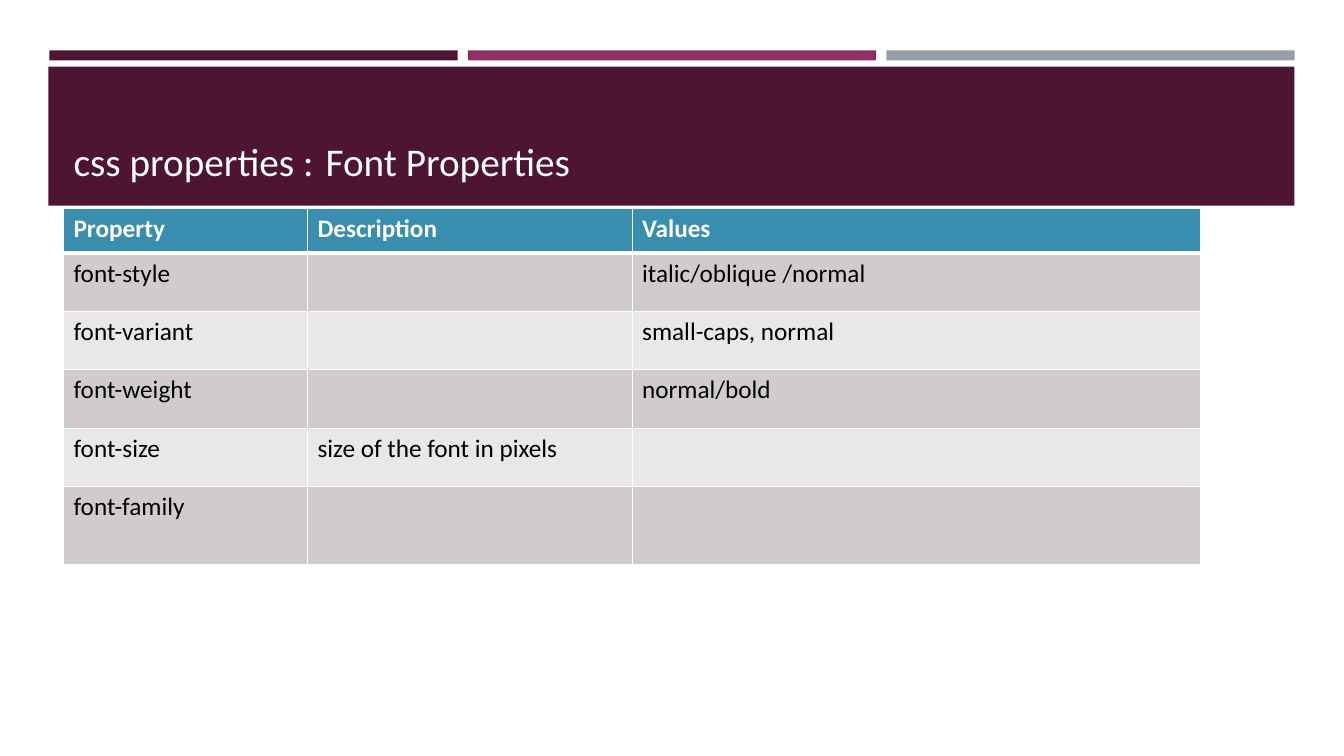
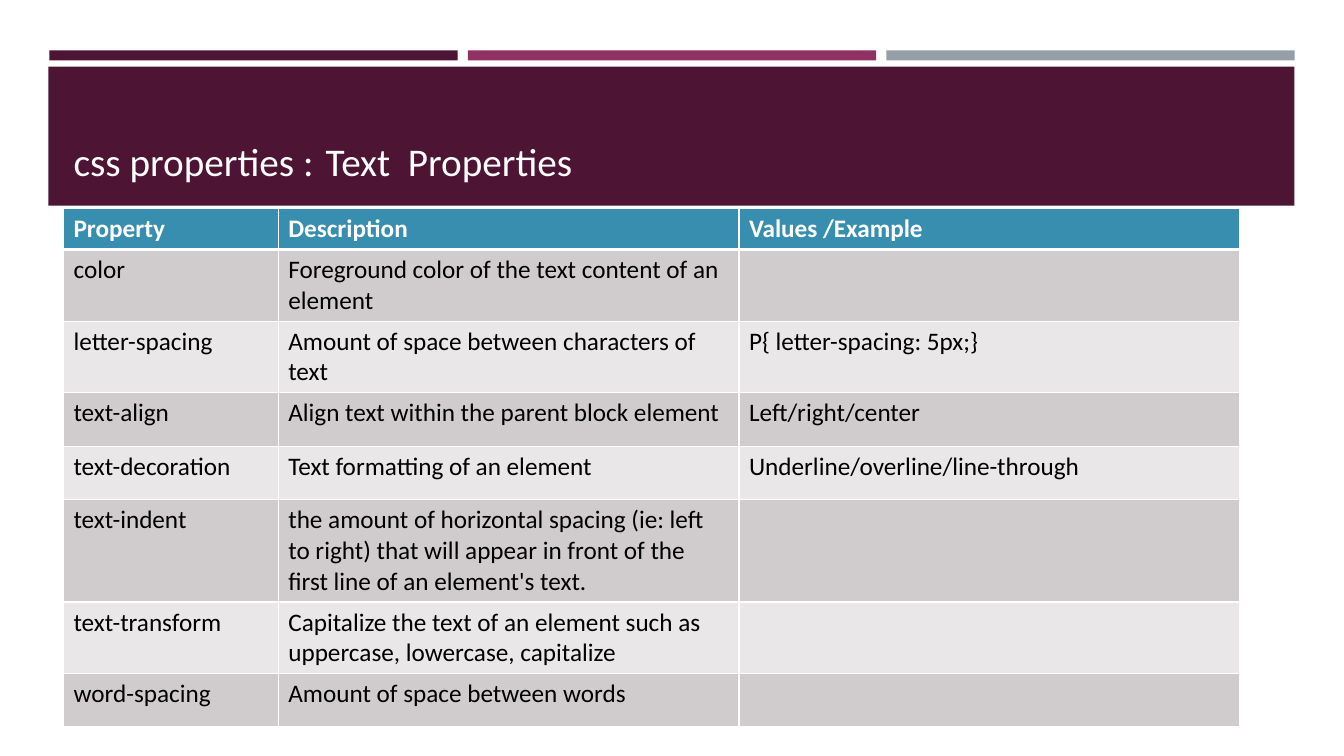
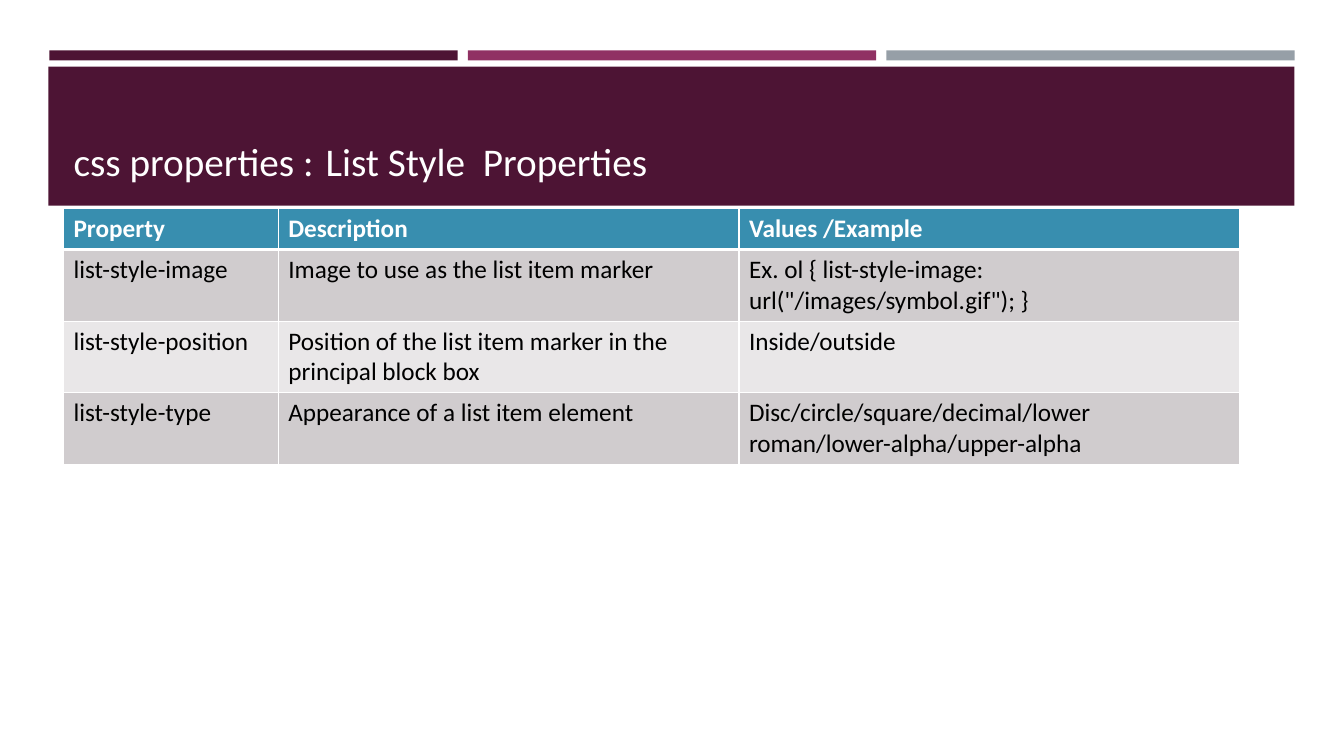
"""Build three slides that tabulate CSS font, text and list properties."""
from lxml import etree
from pptx import Presentation
from pptx.dml.color import RGBColor
from pptx.enum import shapes, text
from pptx.oxml import ns
from pptx.util import Inches, Pt

FONT = "Calibri"
PLUM, MAGENTA, GREY = "4D1434", "903163", "969FA7"
WHITE, BLACK, TEAL = "FFFFFF", "000000", "388EAF"
ROW_FILLS = ["E9E7E8", "D0CCCE"]
BANDS = [(0.49 + 4.15 * index, 0.5, 4.05, 0.1, color)
         for index, color in enumerate([PLUM, MAGENTA, GREY])]
BANDS.append((0.48, 0.66, 12.36, 1.38, PLUM))
WIDE_COLUMNS = [2.13, 4.57, 4.97]

SLIDES = [
    ("Font Properties", [2.42, 3.22, 5.64], [0.44] + [0.58] * 4 + [0.77], [
        ("Property", "Description", "Values"),
        ("font-style", "", "italic/oblique /normal"),
        ("font-variant", "", "small-caps, normal"),
        ("font-weight", "", "normal/bold"),
        ("font-size", "size of the font in pixels", ""),
        ("font-family", "", ""),
    ]),
    ("Text  Properties", WIDE_COLUMNS, [0.3] + [0.53] * 7, [
        ("Property", "Description", "Values /Example"),
        ("color", "Foreground color of the text content of an element", ""),
        ("letter-spacing", "Amount of space between characters of text",
         "P{ letter-spacing: 5px;}"),
        ("text-align", "Align text within the parent block element",
         "Left/right/center"),
        ("text-decoration", "Text formatting of an element",
         "Underline/overline/line-through"),
        ("text-indent", "the amount of horizontal spacing (ie: left to right) that "
         "will appear in front of the first line of an element's text.", ""),
        ("text-transform", "Capitalize the text of an element such as uppercase, "
         "lowercase, capitalize", ""),
        ("word-spacing", "Amount of space between words", ""),
    ]),
    ("List Style  Properties", WIDE_COLUMNS, [0.3] + [0.53] * 3, [
        ("Property", "Description", "Values /Example"),
        ("list-style-image", "Image to use as the list item marker",
         'Ex. ol { list-style-image: url("/images/symbol.gif"); }'),
        ("list-style-position",
         "Position of the list item marker in the principal block box",
         "Inside/outside"),
        ("list-style-type", "Appearance of a list item element",
         "Disc/circle/square/decimal/lower roman/lower-alpha/upper-alpha"),
    ]),
]


def rgb(color):
    return RGBColor.from_string(color)


def set_borders(cell, top, bottom):
    properties = cell._tc.get_or_add_tcPr()
    widths = {"lnL": 1, "lnR": 1, "lnT": top, "lnB": bottom}
    for position, (tag, width) in enumerate(widths.items()):
        line = etree.Element(ns.qn(f"a:{tag}"), w=str(Pt(width)))
        fill = etree.SubElement(line, ns.qn("a:solidFill"))
        etree.SubElement(fill, ns.qn("a:srgbClr"), val=WHITE)
        properties.insert(position, line)


presentation = Presentation()
presentation.slide_width = Inches(13.33)
presentation.slide_height = Inches(7.5)

for topic, column_widths, row_heights, rows in SLIDES:
    slide = presentation.slides.add_slide(presentation.slide_layouts[5])
    for left, top, width, height, color in BANDS:
        band = slide.shapes.add_shape(
            shapes.MSO_SHAPE.RECTANGLE,
            Inches(left), Inches(top), Inches(width), Inches(height))
        band.shadow.inherit = False
        band.fill.solid()
        band.fill.fore_color.rgb = rgb(color)
        band.line.fill.background()

    title = slide.shapes.title
    title.element.getparent().append(title.element)
    title.left, title.top = Inches(0.63), Inches(0.8)
    title.width, title.height = Inches(12.06), Inches(1.08)
    title.text_frame.text = f"css properties : \t{topic}"
    title.text_frame.word_wrap = True
    title.text_frame.auto_size = text.MSO_AUTO_SIZE.NONE
    title.text_frame.vertical_anchor = text.MSO_ANCHOR.BOTTOM
    paragraph = title.text_frame.paragraphs[0]
    paragraph.alignment = text.PP_ALIGN.LEFT
    tabs = etree.SubElement(paragraph._p.get_or_add_pPr(), ns.qn("a:tabLst"))
    etree.SubElement(tabs, ns.qn("a:tab"), pos=str(Inches(2.5)), algn="l")
    paragraph.font.name = FONT
    paragraph.font.size = Pt(28)
    paragraph.font.color.rgb = rgb(WHITE)

    table = slide.shapes.add_table(
        len(rows), len(column_widths), Inches(0.63), Inches(2.07),
        Inches(sum(column_widths)), Inches(sum(row_heights))).table
    for column, width in zip(table.columns, column_widths):
        column.width = Inches(width)
    for row_index, values in enumerate(rows):
        header = row_index == 0
        table.rows[row_index].height = Inches(row_heights[row_index])
        for column_index, value in enumerate(values):
            cell = table.cell(row_index, column_index)
            cell.text = value
            cell.fill.solid()
            cell.fill.fore_color.rgb = rgb(TEAL if header else ROW_FILLS[row_index % 2])
            set_borders(cell, 3 if row_index == 1 else 1, 3 if header else 1)
            paragraph = cell.text_frame.paragraphs[0]
            paragraph.font.name = FONT
            paragraph.font.size = Pt(18)
            paragraph.font.bold = header
            paragraph.font.color.rgb = rgb(WHITE if header else BLACK)

presentation.save("out.pptx")
